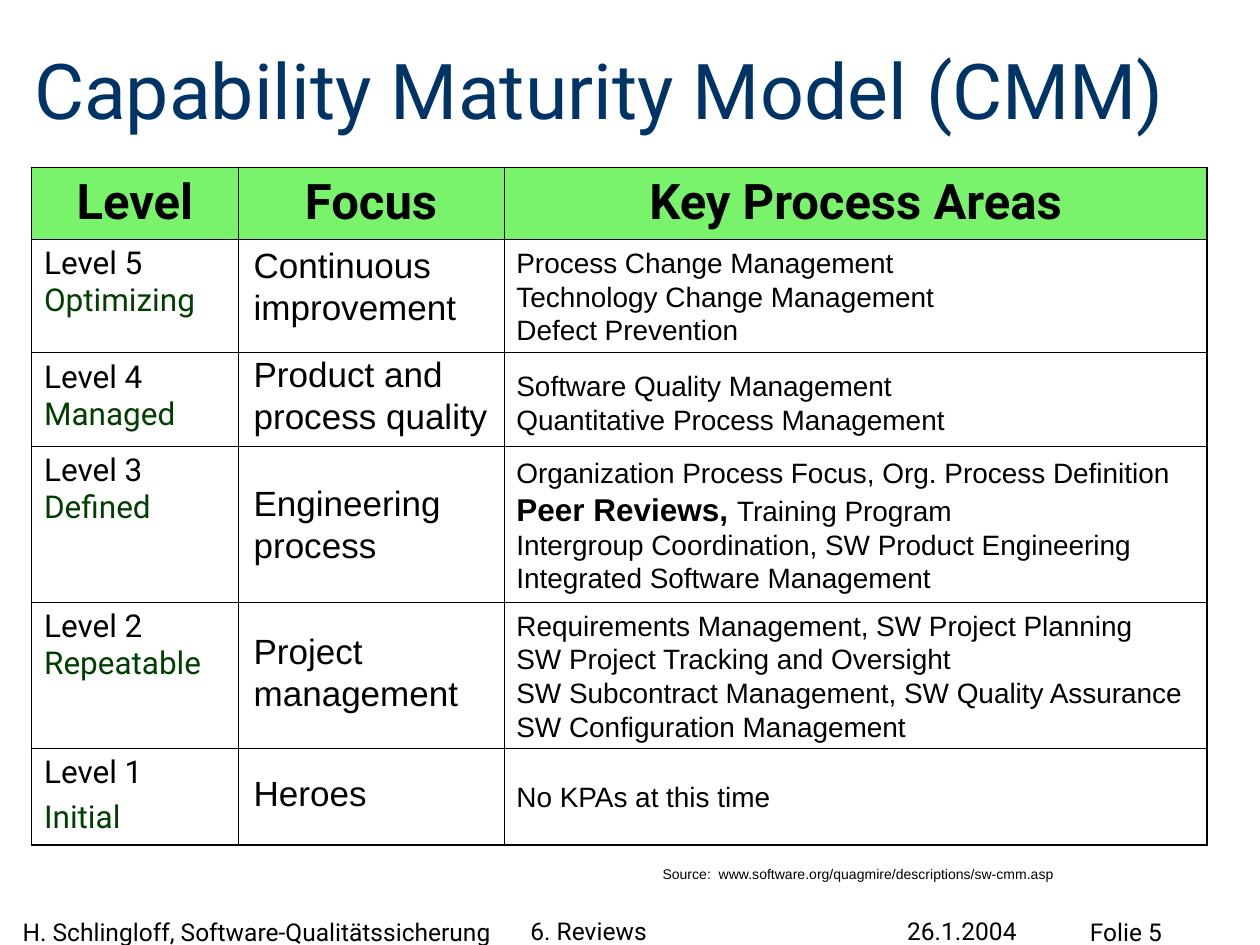
from copy import deepcopy
from dataclasses import dataclass

from lxml.etree import SubElement
from pptx import Presentation
from pptx.dml.color import RGBColor as RGB
from pptx.enum.text import MSO_ANCHOR as Anchor, MSO_AUTO_SIZE as AutoSize, PP_ALIGN as Align
from pptx.oxml import parse_xml
from pptx.oxml.ns import nsdecls, qn
from pptx.util import Inches, Pt

GRID_COLUMNS, GRID_ROWS = 100, 75
TITLE_ONLY = 5


@dataclass(frozen=True)
class Theme:
    heading_font: str = "Roboto"
    body_font: str = "Arial"
    ink: str = "000000"
    title_color: str = "003366"
    level_color: str = "003F00"
    header_fill: str = "7AF36C"
    title_size: int = 44
    header_size: int = 28
    focus_size: int = 20
    level_size: int = 18
    area_size: int = 16
    footer_size: int = 14
    source_size: int = 8
    outer_line: float = 1.08
    inner_line: float = 0.45


def write(paragraph, text, *, font, size, color, bold=False):
    """Append text to the paragraph, turning newlines into line breaks of the same format."""
    lines = text.split("\n")
    for number, line in enumerate(lines, start=1):
        run = paragraph.add_run()
        run.text = line
        run.font.name = font
        run.font.size = Pt(size)
        run.font.bold = bold
        run.font.color.rgb = RGB.from_string(color)
        if number < len(lines):
            paragraph.add_line_break()
            paragraph._p.findall(qn("a:br"))[-1].append(deepcopy(run._r.rPr))


def set_border(cell, widths, color):
    """Draw the left, right, top and bottom borders, in that order."""
    properties = cell._tc.get_or_add_tcPr()
    for position, (side, width) in enumerate(zip("LRTB", widths)):
        line = parse_xml(f'<a:ln{side} {nsdecls("a")} w="{Pt(width)}"/>')
        fill = SubElement(line, qn("a:solidFill"))
        SubElement(fill, qn("a:srgbClr"), val=color)
        properties.insert(position, line)


class SlideBuilder:
    """Places elements on a grid of 100 columns and 75 rows."""

    def __init__(self, presentation, theme):
        self.theme = theme
        self.column = presentation.slide_width / GRID_COLUMNS
        self.row = presentation.slide_height / GRID_ROWS
        self.slide = presentation.slides.add_slide(presentation.slide_layouts[TITLE_ONLY])

    def area(self, left, top, width, height):
        return (round(left * self.column), round(top * self.row),
                round(width * self.column), round(height * self.row))

    def prepare(self, frame, anchor, margins):
        frame.word_wrap = True
        frame.auto_size = AutoSize.NONE
        frame.vertical_anchor = anchor
        frame.margin_left = frame.margin_right = Inches(margins[0])
        frame.margin_top = frame.margin_bottom = Inches(margins[1])

    def title(self, text, *area):
        title = self.slide.shapes.title
        title.left, title.top, title.width, title.height = self.area(*area)
        self.prepare(title.text_frame, Anchor.BOTTOM, (0, 0))
        paragraph = title.text_frame.paragraphs[0]
        paragraph.alignment = Align.LEFT
        write(paragraph, text, font=self.theme.heading_font,
              size=self.theme.title_size, color=self.theme.title_color)

    def text(self, pieces, area, *, size, font=None, anchor=Anchor.TOP, margins=(0.1, 0.05)):
        """Add a text box; pieces is a string or a list of (text, format changes)."""
        frame = self.slide.shapes.add_textbox(*self.area(*area)).text_frame
        self.prepare(frame, anchor, margins)
        style = dict(font=font or self.theme.body_font, size=size, color=self.theme.ink)
        for text, changes in [(pieces, {})] if isinstance(pieces, str) else pieces:
            write(frame.paragraphs[0], text, **{**style, **changes})

    def footer(self, text, *area, anchor=Anchor.TOP):
        self.text(text, area, size=self.theme.footer_size, font=self.theme.heading_font,
                  anchor=anchor, margins=(0, 0))

    def table(self, headers, levels, left, top, widths, heights):
        theme = self.theme
        area = self.area(left, top, sum(widths), sum(heights))
        table = self.slide.shapes.add_table(len(heights), len(widths), *area).table
        table.first_row = table.horz_banding = False
        for column, width in zip(table.columns, widths):
            column.width = round(width * self.column)
        for row, height in zip(table.rows, heights):
            row.height = round(height * self.row)

        last_row, last_column = len(heights) - 1, len(widths) - 1
        for r, row in enumerate(table.rows):
            for c, cell in enumerate(row.cells):
                if r == 0:
                    cell.fill.solid()
                    cell.fill.fore_color.rgb = RGB.from_string(theme.header_fill)
                else:
                    cell.fill.background()
                on_edge = (c == 0, c == last_column, r == 0, r == last_row)
                set_border(cell, [theme.outer_line if edge else theme.inner_line
                                  for edge in on_edge], theme.ink)

        for cell, header in zip(table.rows[0].cells, headers):
            paragraph = cell.text_frame.paragraphs[0]
            paragraph.alignment = Align.CENTER
            write(paragraph, header, font=theme.heading_font, size=theme.header_size,
                  color=theme.ink, bold=True)

        style = dict(font=theme.heading_font, size=theme.level_size)
        for r, (level, name) in enumerate(levels, start=1):
            frame = table.cell(r, 0).text_frame
            paragraph = frame.paragraphs[0]
            if r == last_row:
                write(paragraph, level, color=theme.ink, **style)
                paragraph = frame.add_paragraph()
                paragraph.space_before = Pt(4.5)
            else:
                write(paragraph, level + "\n", color=theme.ink, **style)
            write(paragraph, name, color=theme.level_color, **style)


def main():
    theme = Theme()
    presentation = Presentation()
    presentation.slide_width, presentation.slide_height = Inches(10), Inches(7.5)
    builder = SlideBuilder(presentation, theme)

    builder.title("Capability Maturity Model (CMM)", 2.7, 3.6, 95.1, 7.1)

    level_names = ["Optimizing", "Managed", "Defined", "Repeatable", "Initial"]
    levels = [(f"Level {5 - step}", name) for step, name in enumerate(level_names)]
    builder.table(["Level", "Focus", "Key Process Areas"], levels, 2.5, 13.3,
                  widths=[16.4, 21.1, 55.8], heights=[5.7, 9, 7.4, 12.4, 11.6, 7.7])

    # Each entry: text, top, height
    focuses = [
        ("Continuous improvement", 18.8, 7.7),
        ("Product and\nprocess quality", 27.5, 7.7),
        ("Engineering process", 37.7, 7.7),
        ("Project\nmanagement", 49.5, 7.7),
        ("Heroes", 60.7, 4.4),
    ]
    for text, top, height in focuses:
        builder.text(text, (19.15, top, 21.7, height), size=theme.focus_size)

    key_areas = [
        ("Process Change Management\nTechnology Change Management\nDefect Prevention", 19, 9),
        ("Software Quality Management\nQuantitative Process Management", 28.8, 6.4),
        ([("Organization Process Focus, Org. Process Definition\n", {}),
          ("Peer Reviews, ", dict(size=theme.level_size, bold=True)),
          ("Training Program\nIntergroup Coordination, SW Product Engineering\n"
           "Integrated Software Management", {})], 35.7, 12),
        ("Requirements Management, SW Project Planning\nSW Project Tracking and Oversight\n"
         "SW Subcontract Management, SW Quality Assurance\nSW Configuration Management",
         47.8, 11.7),
        ("No KPAs at this time", 61.4, 3.7),
    ]
    for text, top, height in key_areas:
        builder.text(text, (40, top, 55.8, height), size=theme.area_size)

    builder.text("Source:  www.software.org/quagmire/descriptions/sw-cmm.asp",
                 (51.6, 68.2, 46.5, 2.3), size=theme.source_size)

    builder.footer("H. Schlingloff, Software-Qualitätssicherung", 1.8, 72.8, 39.3, 2.3)
    builder.footer("6. Reviews", 42.1, 72.2, 29.1, 2.8, anchor=Anchor.BOTTOM)
    builder.footer("26.1.2004", 72, 72.9, 15.7, 2.1, anchor=Anchor.BOTTOM)
    builder.footer("Folie 5", 86.5, 72.8, 13.5, 2.2)

    presentation.save("out.pptx")


if __name__ == "__main__":
    main()
